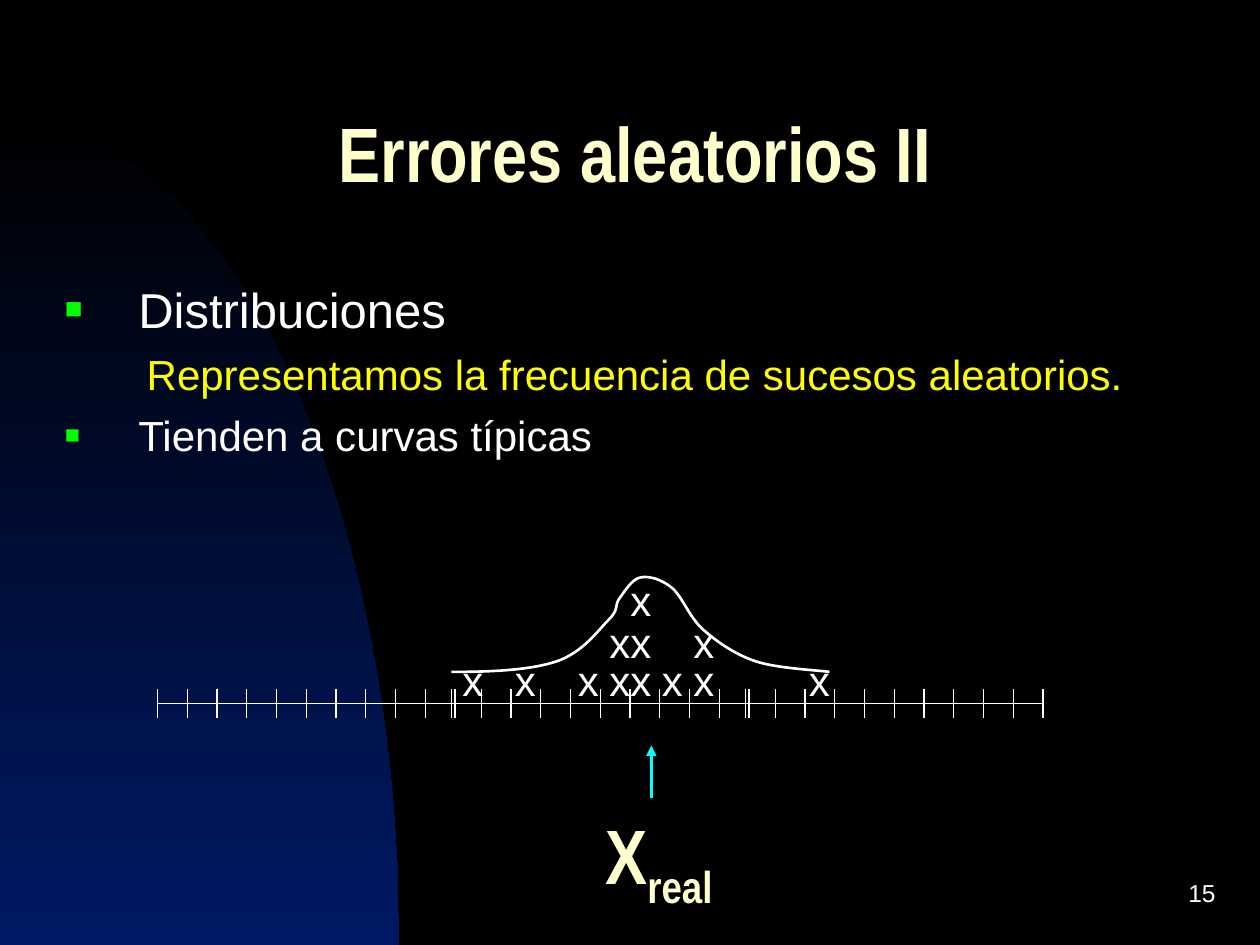
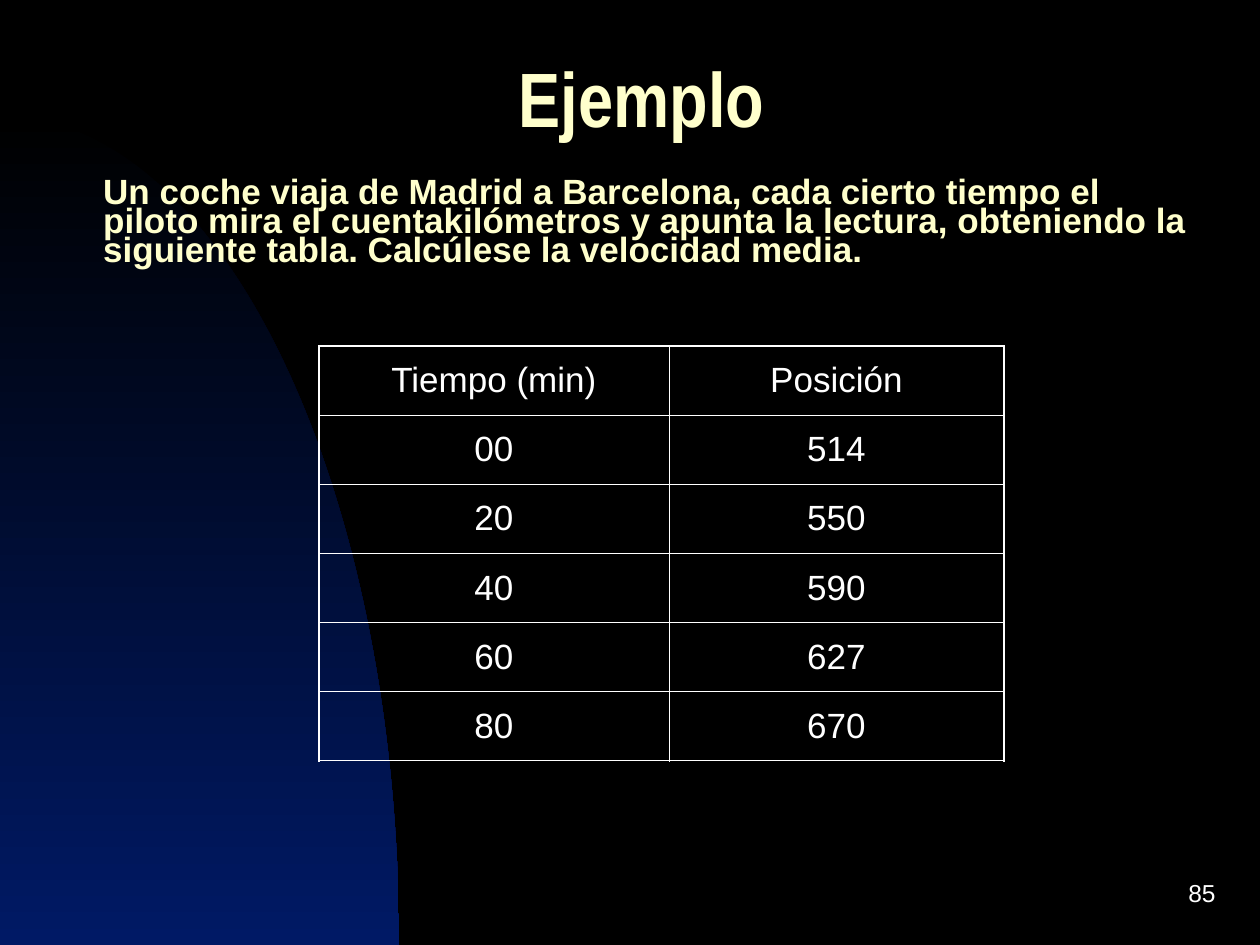
from lxml.etree import SubElement
from pptx import Presentation
from pptx.dml.color import RGBColor
from pptx.enum.shapes import MSO_CONNECTOR, MSO_SHAPE
from pptx.enum.text import MSO_ANCHOR as ANCHOR, PP_ALIGN as ALIGN
from pptx.oxml.ns import qn
from pptx.util import Pt

BLACK = RGBColor(0x00, 0x00, 0x00)
BLUE = RGBColor(0x00, 0x33, 0xCC)
WHITE = RGBColor(0xFF, 0xFF, 0xFF)
CREAM = RGBColor(0xFF, 0xFF, 0xCC)
YELLOW = RGBColor(0xFF, 0xFF, 0x00)
GREEN = RGBColor(0x00, 0xFF, 0x00)
CYAN = RGBColor(0x00, 0xFF, 0xFF)
HEADING = dict(size=44, font="Arial Narrow", colour=CREAM, bold=True,
               align=ALIGN.CENTER, spacing=0.7)


def write(frame, text, size=24, font="Arial", colour=WHITE, bold=False,
          align=ALIGN.LEFT, anchor=ANCHOR.TOP, spacing=None, inset=True, wrap=True):
    """Fill a text frame; each line of the text becomes a paragraph."""
    frame.text = text
    frame.word_wrap = wrap
    frame.vertical_anchor = anchor
    if not inset:
        frame.margin_left = frame.margin_top = frame.margin_right = frame.margin_bottom = 0
    for paragraph in frame.paragraphs:
        paragraph.alignment = align
        paragraph.line_spacing = spacing
        for run in paragraph.runs:
            run.font.size, run.font.name, run.font.bold = Pt(size), font, bold
            run.font.color.rgb = colour
    return frame


deck = Presentation()
deck.slide_width, deck.slide_height = Pt(720), Pt(540)

# Shared background, title and page number
slides = []
for title, title_left, title_top, page in [("Errores aleatorios II", 30, 48, "15"),
                                           ("Ejemplo", 33.75, 16.5, "85")]:
    slide = deck.slides.add_slide(deck.slide_layouts[6])
    slide.background.fill.solid()
    slide.background.fill.fore_color.rgb = BLACK
    glow = slide.shapes.add_shape(MSO_SHAPE.OVAL, Pt(-228), Pt(66), Pt(456), Pt(948))
    glow.shadow.inherit = False
    glow.line.fill.background()
    glow.fill.gradient()
    glow.fill.gradient_angle = 270
    for stop, colour in zip(glow.fill.gradient_stops, (BLACK, BLUE)):
        stop.color.rgb = colour
    heading = slide.shapes.add_textbox(Pt(title_left), Pt(title_top), Pt(666), Pt(90))
    write(heading.text_frame, title, anchor=ANCHOR.MIDDLE, **HEADING)
    number = slide.shapes.add_textbox(Pt(551.75), Pt(492), Pt(150), Pt(36))
    write(number.text_frame, page, size=14, align=ALIGN.RIGHT, anchor=ANCHOR.MIDDLE)
    slides.append(slide)
errors, example = slides

# Bulleted statements
statements = write(
    errors.shapes.add_textbox(Pt(30), Pt(156), Pt(672), Pt(324)).text_frame,
    "Distribuciones\nRepresentamos la frecuencia de sucesos aleatorios.\nTienden a curvas típicas")
topic, detail, trend = statements.paragraphs
for bulleted in (topic, trend):
    properties = bulleted._p.get_or_add_pPr()
    properties.set("marL", str(Pt(42)))
    properties.set("indent", str(-Pt(42)))
    bullet_colour = SubElement(properties, qn("a:buClr"))
    SubElement(bullet_colour, qn("a:srgbClr"), val=str(GREEN))
    SubElement(properties, qn("a:buSzPct"), val="60000")
    SubElement(properties, qn("a:buFont"), typeface="Arial")
    SubElement(properties, qn("a:buChar"), char="■")
detail._p.get_or_add_pPr().set("marL", str(Pt(46.75)))
detail.space_before = trend.space_before = Pt(6)
topic.runs[0].font.size = Pt(28)
detail.runs[0].font.color.rgb = YELLOW

# Real value under the axis
real_value = errors.shapes.add_textbox(Pt(312), Pt(468), Pt(129), Pt(50))
write(real_value.text_frame, "X", **HEADING)
subscript = real_value.text_frame.paragraphs[0].add_run()
subscript.text = "real"
subscript.font.size, subscript.font.name, subscript.font.bold = Pt(44), "Arial Narrow", True
subscript.font.color.rgb = CREAM
subscript.font._element.set("baseline", "-25000")

# Axis of three rulers with ten divisions each, and the arrow to the real value
AXIS_Y, DIVISION, HALF_TICK = 402, 17, 8.5
lines = [(372.2, 456, 372.2, 426, CYAN, 1.5)]
for ruler_left in (90, 258, 426):
    lines.append((ruler_left, AXIS_Y, ruler_left + 10 * DIVISION, AXIS_Y, WHITE, 0.75))
    for division in range(11):
        x = ruler_left + division * DIVISION
        lines.append((x, AXIS_Y - HALF_TICK, x, AXIS_Y + HALF_TICK, WHITE, 0.75))
for x1, y1, x2, y2, colour, width in lines:
    line = errors.shapes.add_connector(MSO_CONNECTOR.STRAIGHT, Pt(x1), Pt(y1), Pt(x2), Pt(y2))
    line.line.color.rgb = colour
    line.line.width = Pt(width)
    if colour == CYAN:
        SubElement(line.line._get_or_add_ln(), qn("a:tailEnd"), type="triangle")
    SubElement(line._element.spPr, qn("a:effectLst"))

# Observations stacked above the axis
for mark_top, mark_lefts in [(382, (264, 294, 330, 348, 360, 378, 396, 462)),
                             (360, (348, 360, 396)),
                             (336, (360,))]:
    for mark_left in mark_lefts:
        mark = errors.shapes.add_textbox(Pt(mark_left), Pt(mark_top), Pt(12.25), Pt(20))
        write(mark.text_frame, "x", align=ALIGN.RIGHT, spacing=0.7, inset=False, wrap=False)

# Bell curve: a start, then two controls and an end for each Bézier segment
bell_start, *bell_points = [(Pt(x), Pt(y)) for x, y in [
    (258, 384),
    (281, 384), (303, 383), (318, 378),
    (333, 373), (342, 360), (348, 354),
    (354, 348), (351, 346), (354, 342),
    (357, 338), (361, 331), (366, 330),
    (371, 329), (378, 331), (384, 336),
    (390, 341), (394, 353), (402, 360),
    (410, 367), (420, 374), (432, 378),
    (444, 382), (467, 383), (474, 384)]]
builder = errors.shapes.build_freeform(*bell_start)
builder.add_line_segments(bell_points, close=False)
bell = builder.convert_to_shape()
bell.shadow.inherit = False
bell.fill.background()
bell.line.color.rgb = WHITE
bell.line.width = Pt(1.5)
steps = list(bell._element.iter(qn("a:lnTo")))
for bezier, control, end in zip(steps[::3], steps[1::3], steps[2::3]):
    bezier.tag = qn("a:cubicBezTo")
    for step in (control, end):
        bezier.append(step[0])
        step.getparent().remove(step)

# Problem statement
problem = example.shapes.add_textbox(Pt(59), Pt(103.25), Pt(626.5), Pt(80))
write(problem.text_frame,
      "Un coche viaja de Madrid a Barcelona, cada cierto tiempo el piloto mira el "
      "cuentakilómetros y apunta la lectura, obteniendo la siguiente tabla. "
      "Calcúlese la velocidad media.",
      size=20, colour=CREAM, bold=True, spacing=0.7, inset=False)

# Table of readings, with a heavier outer border
readings = [("Tiempo (min)", "Posición"), ("00", "514"), ("20", "550"),
            ("40", "590"), ("60", "627"), ("80", "670")]
last_row, last_column = len(readings) - 1, 1
table = example.shapes.add_table(len(readings), 2, Pt(182.25), Pt(197.75),
                                 Pt(391.5), Pt(237)).table
table.columns[0].width, table.columns[1].width = Pt(200), Pt(191.5)
for r, reading in enumerate(readings):
    table.rows[r].height = Pt(39.5)
    for c, value in enumerate(reading):
        cell = table.cell(r, c)
        write(cell.text_frame, value, size=20, align=ALIGN.CENTER)
        cell.vertical_anchor = ANCHOR.MIDDLE
        outer_sides = {"L": c == 0, "R": c == last_column, "T": r == 0, "B": r == last_row}
        for side, is_outer in outer_sides.items():
            border = SubElement(cell._tc.get_or_add_tcPr(), qn("a:ln" + side),
                                w=str(Pt(1.08 if is_outer else 0.45)))
            border_fill = SubElement(border, qn("a:solidFill"))
            SubElement(border_fill, qn("a:srgbClr"), val=str(WHITE))
        cell.fill.background()

deck.save("out.pptx")
